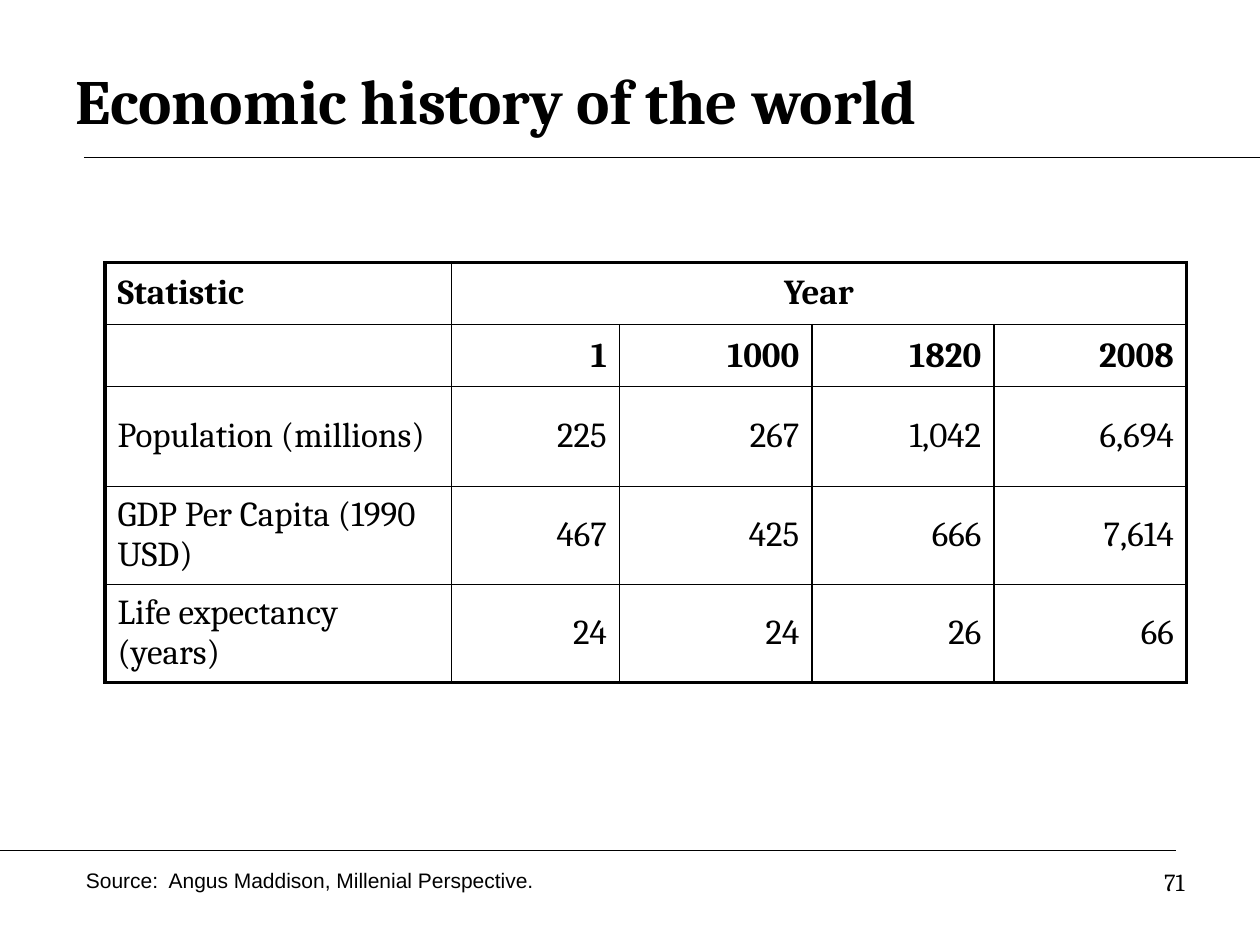
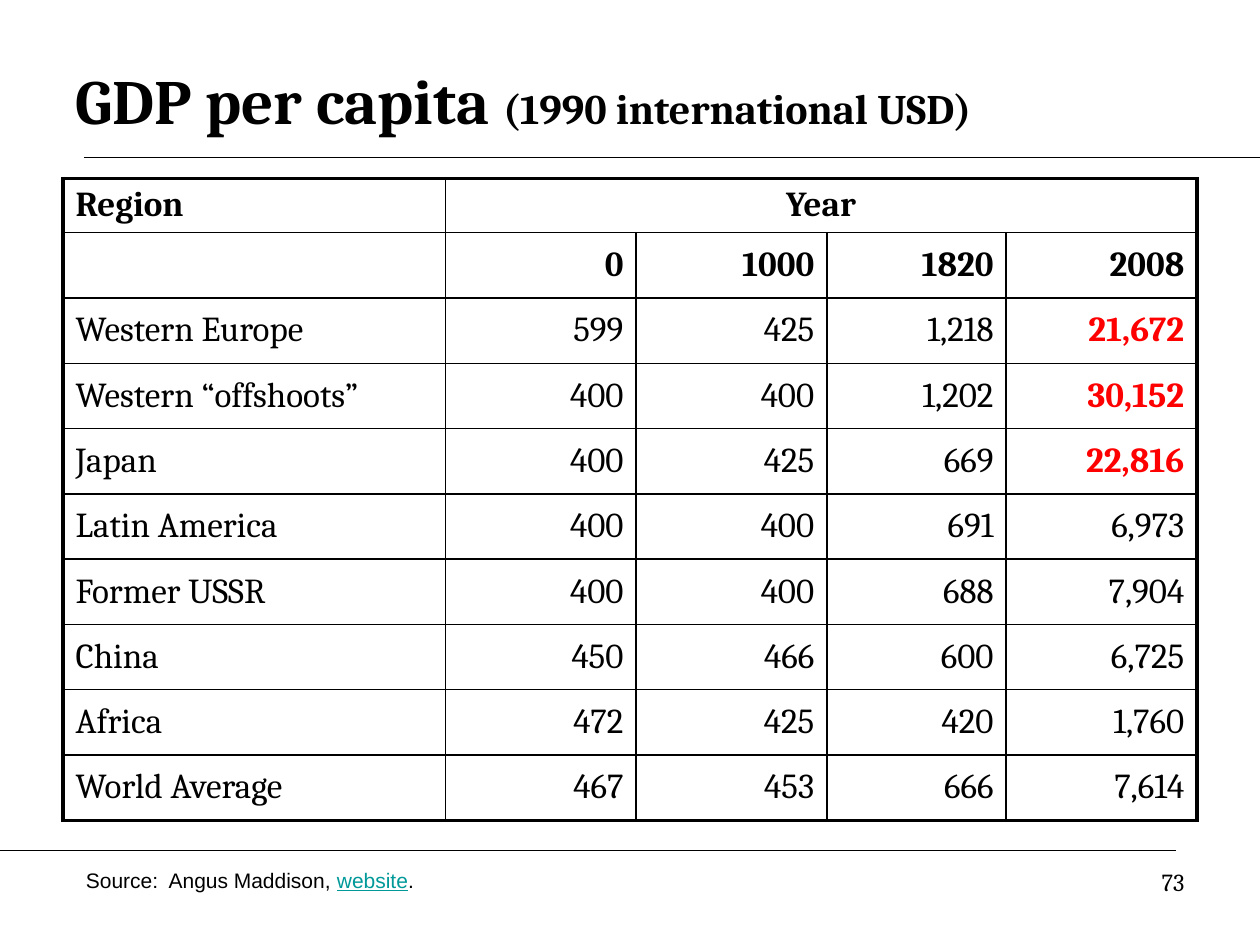
from dataclasses import dataclass

from lxml.etree import SubElement
from pptx import Presentation
from pptx.dml.color import RGBColor
from pptx.enum.shapes import MSO_CONNECTOR
from pptx.enum.text import MSO_ANCHOR, MSO_AUTO_SIZE, PP_ALIGN
from pptx.oxml.ns import qn
from pptx.util import Pt


@dataclass(frozen=True)
class Theme:
    ink: str = "000000"
    highlight: str = "FF0000"
    link: str = "009999"
    serif: str = "Cambria"
    sans: str = "Arial"
    title_size: float = 36
    subtitle_size: float = 24
    table_size: float = 20
    source_size: float = 12
    number_size: float = 14
    rule_width: float = 0.75
    inner_border: float = 1
    outer_border: float = 2.25


THEME = Theme()
SLIDE_SIZE = (720, 540)
RULES = [((48, 90), (720, 90)), ((0, 486), (672, 486))]
TITLE_BOX = (36, 24, 648, 66)
SOURCE_BOX = (42, 492, 348, 21.6)
NUMBER_BOX = (516, 492, 168, 37.5)

SLIDES = [
    {
        "title": "Economic history of the world",
        "subtitle": "",
        "source": ("Source:  Angus Maddison, Millenial Perspective.", "", ""),
        "number": "71",
        "origin": (60, 150),
        "columns": [198, 96, 110, 104, 110],
        "rows": [35.5, 35.5, 57, 56, 56],
        "highlighted": set(),
        "table": [
            ("Statistic", "Year", "", "", ""),
            ("", "1", "1000", "1820", "2008"),
            ("Population (millions)", "225", "267", "1,042", "6,694"),
            ("GDP Per Capita (1990 USD)", "467", "425", "666", "7,614"),
            ("Life expectancy (years)", "24", "24", "26", "66"),
        ],
    },
    {
        "title": "GDP per capita ",
        "subtitle": "(1990 international USD)",
        "source": ("Source:  Angus Maddison, ", "website", "."),
        "number": "73",
        "origin": (36, 102),
        "columns": [218.5, 109, 109, 102.5, 109],
        "rows": [31] + [37.33] * 9,
        "highlighted": {"21,672", "30,152", "22,816"},
        "table": [
            ("Region", "Year", "", "", ""),
            ("", "0", "1000", "1820", "2008"),
            ("Western Europe", "599", "425", "1,218", "21,672"),
            ("Western “offshoots”", "400", "400", "1,202", "30,152"),
            ("Japan", "400", "425", "669", "22,816"),
            ("Latin America", "400", "400", "691", "6,973"),
            ("Former USSR", "400", "400", "688", "7,904"),
            ("China", "450", "466", "600", "6,725"),
            ("Africa", "472", "425", "420", "1,760"),
            ("World Average", "467", "453", "666", "7,614"),
        ],
    },
]


def points(values):
    return [Pt(value) for value in values]


def add_run(paragraph, text, size, name=THEME.serif, color=THEME.ink, bold=False, underline=False):
    if not text:
        return
    run = paragraph.add_run()
    run.text = text
    run.font.size = Pt(size)
    run.font.name = name
    run.font.bold = bold
    run.font.underline = underline
    run.font.color.rgb = RGBColor.from_string(color)


def add_text_box(slide, box, alignment=PP_ALIGN.LEFT, anchor=MSO_ANCHOR.TOP, auto_size=MSO_AUTO_SIZE.NONE):
    frame = slide.shapes.add_textbox(*points(box)).text_frame
    frame.word_wrap = True
    frame.auto_size = auto_size
    frame.vertical_anchor = anchor
    paragraph = frame.paragraphs[0]
    paragraph.alignment = alignment
    return paragraph


def add_rule(slide, start, end):
    connector = slide.shapes.add_connector(MSO_CONNECTOR.STRAIGHT, *points(start + end))
    connector.line.color.rgb = RGBColor.from_string(THEME.ink)
    connector.line.width = Pt(THEME.rule_width)
    SubElement(connector._element.spPr, qn("a:effectLst"))


def set_borders(cell, outer_sides):
    properties = cell._tc.get_or_add_tcPr()
    for side in "LRTB":
        width = THEME.outer_border if side in outer_sides else THEME.inner_border
        line = SubElement(properties, qn(f"a:ln{side}"), w=str(Pt(width)))
        SubElement(SubElement(line, qn("a:solidFill")), qn("a:srgbClr"), val=THEME.ink)


def fill_cell(cell, text, alignment, bold, color):
    cell.fill.background()
    cell.vertical_anchor = MSO_ANCHOR.MIDDLE
    paragraph = cell.text_frame.paragraphs[0]
    paragraph.alignment = alignment
    add_run(paragraph, text, THEME.table_size, color=color, bold=bold)


def add_statistics_table(slide, content):
    rows, columns = content["rows"], content["columns"]
    box = points((*content["origin"], sum(columns), sum(rows)))
    table = slide.shapes.add_table(len(rows), len(columns), *box).table
    table.first_row = table.horz_banding = False
    for row, height in zip(table.rows, rows):
        row.height = Pt(height)
    for column, width in zip(table.columns, columns):
        column.width = Pt(width)

    last_row, last_column = len(rows) - 1, len(columns) - 1
    table.cell(0, 1).merge(table.cell(0, last_column))
    for row_index, values in enumerate(content["table"]):
        for column_index, text in enumerate(values):
            cell = table.cell(row_index, column_index)
            edges = {
                "L": column_index == 0,
                "R": column_index == last_column or cell.is_merge_origin,
                "T": row_index == 0,
                "B": row_index == last_row,
            }
            set_borders(cell, [side for side, outer in edges.items() if outer])
            if column_index == 0:
                alignment = PP_ALIGN.LEFT
            else:
                alignment = PP_ALIGN.CENTER if row_index == 0 else PP_ALIGN.RIGHT
            highlighted = text in content["highlighted"]
            color = THEME.highlight if highlighted else THEME.ink
            fill_cell(cell, text, alignment, row_index < 2 or highlighted, color)


def add_statistics_slide(presentation, content):
    slide = presentation.slides.add_slide(presentation.slide_layouts[6])
    for start, end in RULES:
        add_rule(slide, start, end)

    title = add_text_box(slide, TITLE_BOX, anchor=MSO_ANCHOR.MIDDLE)
    add_run(title, content["title"], THEME.title_size, bold=True)
    add_run(title, content["subtitle"], THEME.subtitle_size, bold=True)

    add_statistics_table(slide, content)

    source = add_text_box(slide, SOURCE_BOX, auto_size=MSO_AUTO_SIZE.SHAPE_TO_FIT_TEXT)
    before, link, after = content["source"]
    add_run(source, before, THEME.source_size, THEME.sans)
    add_run(source, link, THEME.source_size, THEME.sans, THEME.link, underline=True)
    add_run(source, after, THEME.source_size, THEME.sans)

    number = add_text_box(slide, NUMBER_BOX, PP_ALIGN.RIGHT)
    add_run(number, content["number"], THEME.number_size)


def main():
    presentation = Presentation()
    presentation.slide_width, presentation.slide_height = points(SLIDE_SIZE)
    for content in SLIDES:
        add_statistics_slide(presentation, content)
    presentation.save("out.pptx")


if __name__ == "__main__":
    main()
